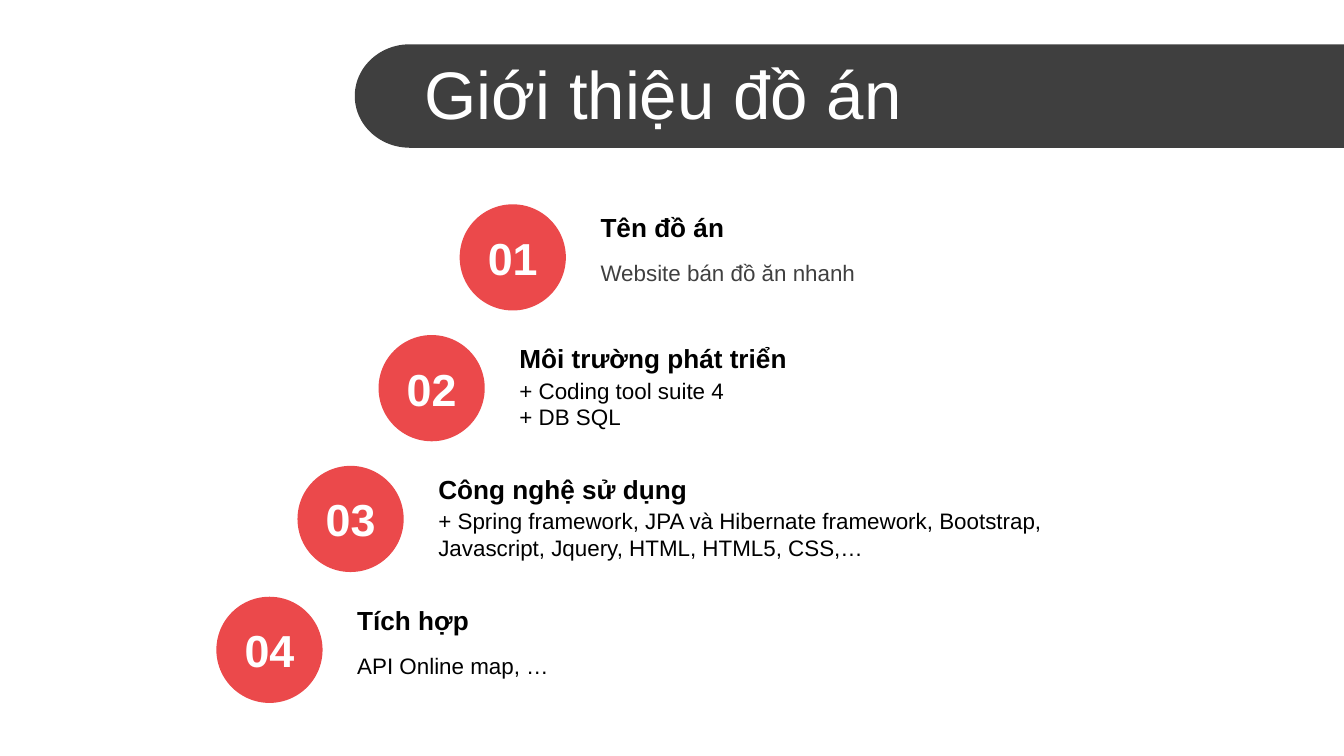
from math import cos, pi, sin

from pptx import Presentation
from pptx.dml.color import RGBColor
from pptx.enum.shapes import MSO_SHAPE
from pptx.enum.text import MSO_ANCHOR, PP_ALIGN
from pptx.util import Inches, Pt

WIDTH = 10
HEIGHT = WIDTH * 9 / 16
DARK = RGBColor(0x3F, 0x3F, 0x3F)
GRAY = RGBColor(0x40, 0x40, 0x40)
RED = RGBColor(0xEB, 0x49, 0x4B)
BLACK = RGBColor(0, 0, 0)
WHITE = RGBColor(0xFF, 0xFF, 0xFF)

CIRCLE = 0.79
TEXT_OFFSET = 0.95
TEXT_WIDTH = 5.04
ITEMS = [
    ("Tên đồ án", ["Website bán đồ ăn nhanh"], GRAY),
    ("Môi trường phát triển", ["+ Coding tool suite 4", "+ DB SQL"], BLACK),
    ("Công nghệ sử dụng",
     ["+ Spring framework, JPA và Hibernate framework, Bootstrap,",
      "Javascript, Jquery, HTML, HTML5, CSS,…"], BLACK),
    ("Tích hợp", ["API Online map, …"], BLACK),
]


def add_text(s, lines, box, *, size, color=BLACK, bold=False, align=PP_ALIGN.LEFT):
    tf = s.shapes.add_textbox(*map(Inches, box)).text_frame
    tf.word_wrap = True
    tf.vertical_anchor = MSO_ANCHOR.MIDDLE
    for i, line in enumerate(lines):
        p = tf.paragraphs[0] if i == 0 else tf.add_paragraph()
        p.alignment = align
        r = p.add_run()
        r.text = line
        r.font.name = "Arial"
        r.font.size = Pt(size)
        r.font.bold = bold
        r.font.color.rgb = color


def paint(sp, color):
    sp.shadow.inherit = False
    sp.fill.solid()
    sp.fill.fore_color.rgb = color
    sp.line.fill.background()


def add_title_bar(s, box, title):
    x, y, w, h = box
    rx, ry = 0.41, h / 2
    steps = 48
    arc = [(x + rx - rx * sin(pi * i / steps), y + ry + ry * cos(pi * i / steps))
           for i in range(steps + 1)]
    points = [(x + w, y), (x + w, y + h)] + arc
    points = [(Inches(px), Inches(py)) for px, py in points]
    builder = s.shapes.build_freeform(*points[0])
    builder.add_line_segments(points[1:], close=True)
    paint(builder.convert_to_shape(), DARK)
    add_text(s, [title], (x + 0.42, y + 0.04, w - 0.42, 0.64), size=36, color=WHITE)


def add_item(s, box, number, heading, lines, color):
    x, y, w, h = box
    circle = s.shapes.add_shape(MSO_SHAPE.OVAL, *map(Inches, (x, y, h, h)))
    paint(circle, RED)
    add_text(s, [f"{number:02d}"], (x, y + (h - 0.5) / 2, h, 0.5),
             size=24, color=WHITE, bold=True, align=PP_ALIGN.CENTER)
    left, width = x + TEXT_OFFSET, w - TEXT_OFFSET
    body = 0.1 + 0.2 * len(lines)
    add_text(s, lines, (left, y + 0.51 - body / 2, width, body), size=12, color=color)
    add_text(s, [heading], (left, y, width, 0.34), size=14, bold=True)


def add_staircase(s, box, items):
    x, y, w, h = box
    item_width = TEXT_OFFSET + TEXT_WIDTH
    gaps = len(items) - 1
    dx, dy = (w - item_width) / gaps, (h - CIRCLE) / gaps
    for i, item in enumerate(items):
        add_item(s, (x + dx * (gaps - i), y + dy * i, item_width, CIRCLE), i + 1, *item)


def main():
    prs = Presentation()
    prs.slide_width, prs.slide_height = Inches(WIDTH), Inches(HEIGHT)
    s = prs.slides.add_slide(prs.slide_layouts[6])
    add_title_bar(s, (2.64, 0.33, WIDTH - 2.64, 0.77), "Giới thiệu đồ án")
    add_staircase(s, (1.61, 1.52, 7.8, 3.71), ITEMS)
    prs.save("out.pptx")


if __name__ == "__main__":
    main()
